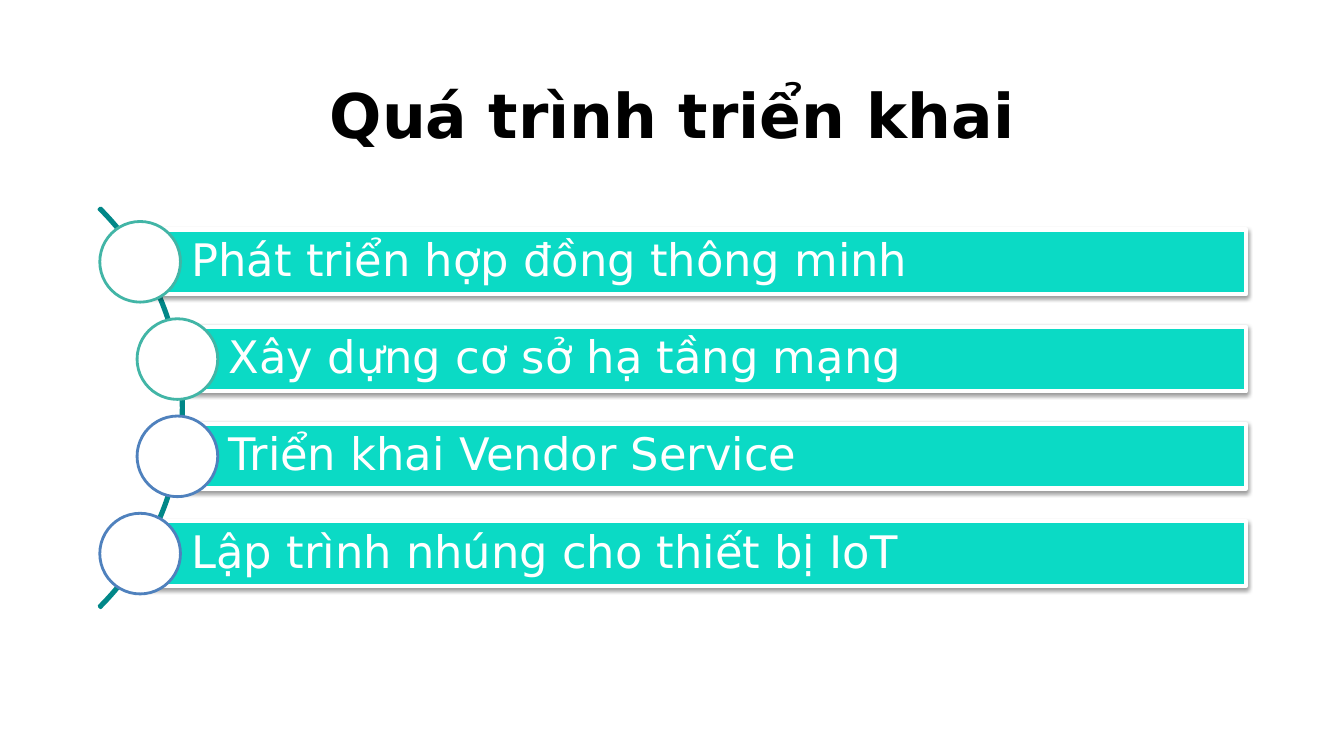
import pptx
import pptx.util
import pptx.dml.color
import pptx.enum.shapes
import pptx.enum.text
import pptx.oxml
import pptx.oxml.ns

TITLE = "Quá trình triển khai"
COLORS = {"bar": "0BDAC5", "arc": "018788", "teal": "42B5A6", "blue": "4F81BD",
          "white": "FFFFFF", "black": "000000"}
STEPS = [
    ("Phát triển hợp đồng thông minh", "outer", "teal"),
    ("Xây dựng cơ sở hạ tầng mạng", "inner", "teal"),
    ("Triển khai Vendor Service", "inner", "blue"),
    ("Lập trình nhúng cho thiết bị IoT", "outer", "blue"),
]
BAR_LEFT = {"outer": 1.39, "inner": 1.76}
BAR_RIGHT, BAR_HEIGHT = 12.36, 0.64
CIRCLE, ROW_PITCH = 0.8, 0.965
ARC_SIZE, ARC_LEFT, MIDDLE = 5.61, -3.79, 4.045
TITLE_FORMAT = {"name": "DejaVu Sans", "size": pptx.util.Pt(44), "bold": True}
STEP_FORMAT = {"name": "DejaVu Sans", "size": pptx.util.Pt(32)}
SHADOW = (
    '<a:outerShdw %s blurRad="39400" dist="20300" dir="5400000" rotWithShape="0">'
    '<a:srgbClr val="%s"><a:alpha val="38000"/></a:srgbClr></a:outerShdw>'
    % (pptx.oxml.ns.nsdecls("a"), COLORS["black"])
)
SHAPES = pptx.enum.shapes.MSO_SHAPE
ALIGN = pptx.enum.text.PP_ALIGN


def color(name):
    return pptx.dml.color.RGBColor.from_string(COLORS[name])


def inches(*lengths):
    return [pptx.util.Inches(length) for length in lengths]


def add_outline(page, kind, place, fill, line, width):
    shape = page.shapes.add_shape(kind, *inches(*place))
    shape.shadow.inherit = False
    if fill:
        shape.fill.solid()
        shape.fill.fore_color.rgb = color(fill)
    else:
        shape.fill.background()
    shape.line.color.rgb = color(line)
    shape.line.width = pptx.util.Pt(width)
    return shape


def write(shape, text, font, ink, align, margins):
    frame = shape.text_frame
    frame.word_wrap = True
    frame.vertical_anchor = pptx.enum.text.MSO_ANCHOR.MIDDLE
    sides = ("margin_left", "margin_top", "margin_right", "margin_bottom")
    for side, margin in zip(sides, inches(*margins)):
        setattr(frame, side, margin)
    para = frame.paragraphs[0]
    para.alignment = align
    span = para.add_run()
    span.text = text
    for key, value in font.items():
        setattr(span.font, key, value)
    span.font.color.rgb = color(ink)
    return para


def add_step(page, row, text, indent, ring):
    left = BAR_LEFT[indent]
    center = MIDDLE + (row - (len(STEPS) - 1) / 2) * ROW_PITCH
    place = (left, center - BAR_HEIGHT / 2, BAR_RIGHT - left, BAR_HEIGHT)
    bar = add_outline(page, SHAPES.RECTANGLE, place, "bar", "white", 3)
    effects = bar._element.spPr.find(pptx.oxml.ns.qn("a:effectLst"))
    effects.append(pptx.oxml.parse_xml(SHADOW))
    para = write(bar, text, STEP_FORMAT, "white", ALIGN.LEFT, (0.51, 0.09, 0.09, 0.09))
    para.line_spacing = 0.9
    place = (left - CIRCLE / 2, center - CIRCLE / 2, CIRCLE, CIRCLE)
    add_outline(page, SHAPES.OVAL, place, "white", ring, 2)


def main():
    deck = pptx.Presentation()
    deck.slide_width, deck.slide_height = inches(13.33, 7.5)
    page = deck.slides.add_slide(deck.slide_layouts[6])
    title = page.shapes.add_textbox(*inches(0.92, 0.4, 11.5, 1.45))
    write(title, TITLE, TITLE_FORMAT, "black", ALIGN.CENTER, (0.1, 0.05, 0.1, 0.05))
    place = (ARC_LEFT, MIDDLE - ARC_SIZE / 2, ARC_SIZE, ARC_SIZE)
    arc = add_outline(page, SHAPES.BLOCK_ARC, place, None, "arc", 2)
    for index, value in enumerate((189, 27, 0.004)):
        arc.adjustments[index] = value
    for row, step in enumerate(STEPS):
        add_step(page, row, *step)
    deck.save("out.pptx")


if __name__ == "__main__":
    main()
